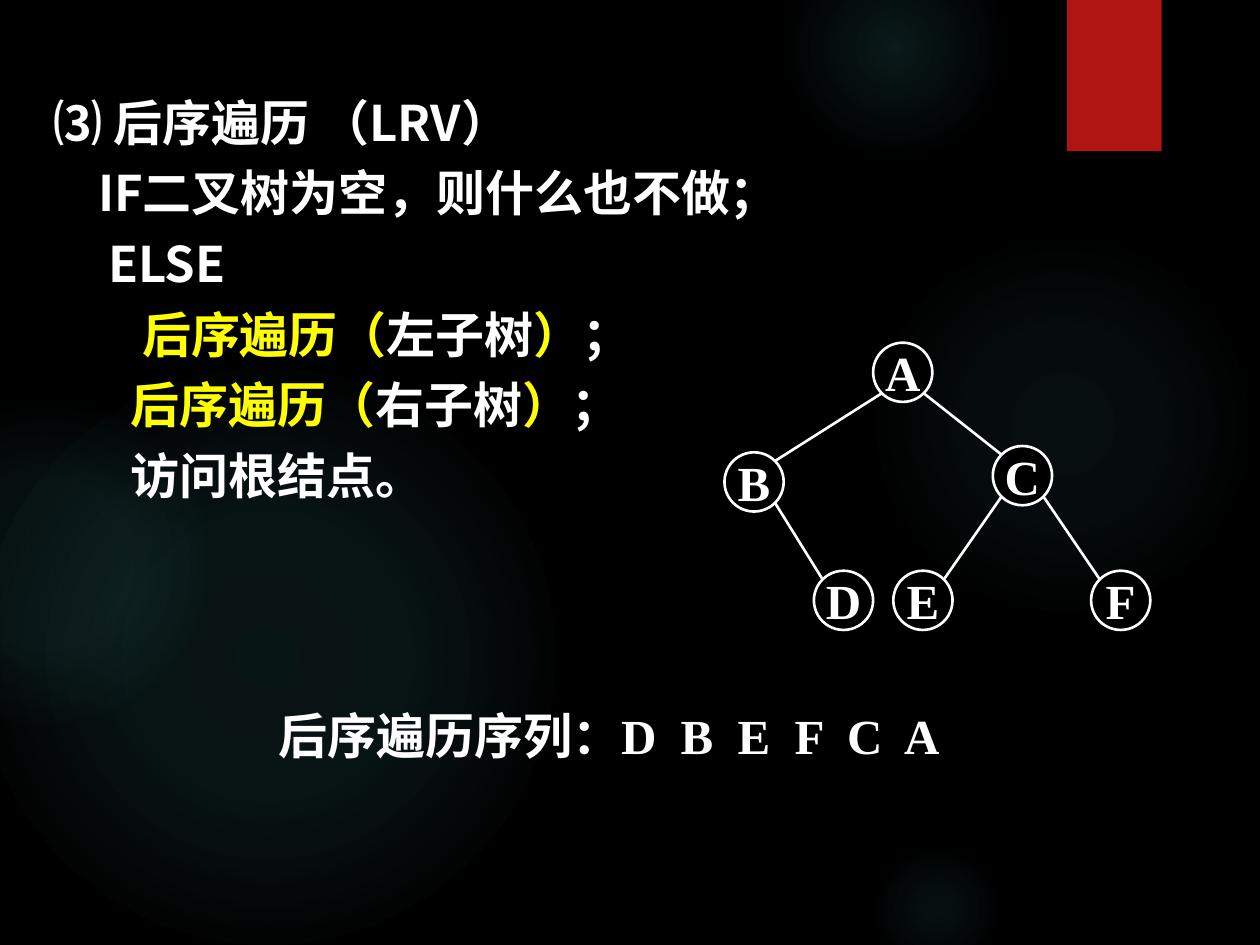
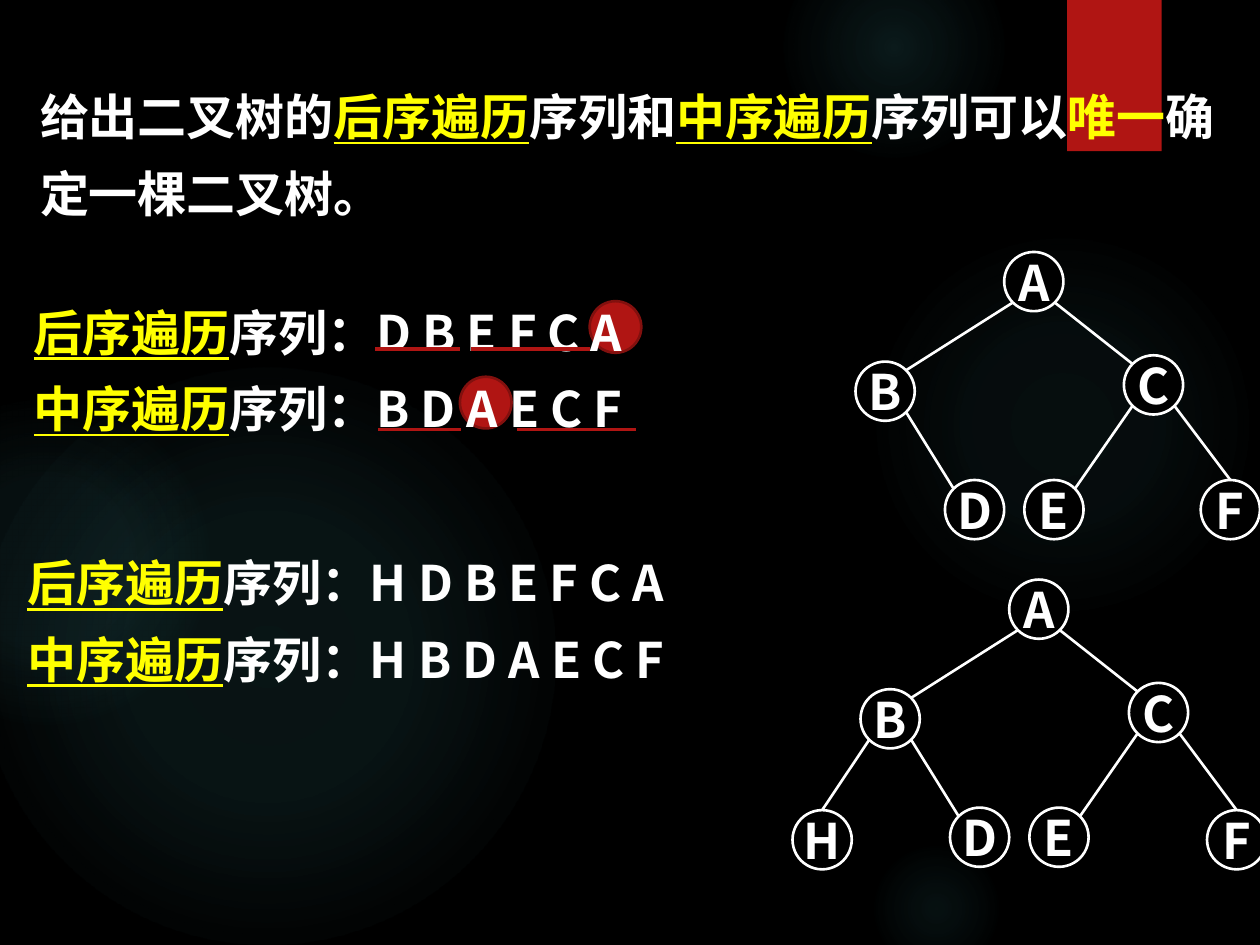
from math import sqrt

from lxml.etree import SubElement
from pptx import Presentation
from pptx.dml.color import RGBColor
from pptx.enum.shapes import MSO_CONNECTOR as Connector, MSO_SHAPE as Shape
from pptx.enum.text import MSO_ANCHOR as Anchor, PP_ALIGN as Align
from pptx.oxml import parse_xml
from pptx.oxml.ns import nsdecls, qn
from pptx.util import Inches, Pt

COLUMNS, ROWS = 100, 75
BLACK, WHITE, YELLOW = "000000", "FFFFFF", "FFFF00"
RED, DARK_RED, TEAL = "B01513", "82100E", "50B9C1"
SANS, SERIF = "Noto Sans CJK SC", "Times New Roman"
PLAIN, CALL, TERM = (WHITE, False), (YELLOW, False), (YELLOW, True)

GLOWS = [
    (68.9, 18.3, 30.8, [(0, 7), (36, 6), (69, 0)]),
    (62.2, -5, 17.5, [(0, 14), (36, 7), (73, 0)]),
    (68.9, 66.7, 10.8, [(0, 9), (36, 5), (66, 0)]),
    (-1.7, 29.2, 45.8, [(0, 11), (36, 10), (75, 0)]),
    (-9.2, 31.7, 25.8, [(0, 8), (36, 8), (72, 0)]),
]
NODE_SIZE = 4.7
TREE_OFFSETS = {"A": (0, 0), "B": (-11.8, 8.7), "C": (9.5, 8.2),
                "D": (-4.7, 18.1), "E": (1.6, 18.1), "F": (17.3, 18.1)}
TREE_EDGES = ["AB", "BD", "AC", "CE", "CF"]


def rgb(hex_color):
    return RGBColor.from_string(hex_color)


class Deck:
    def __init__(self):
        self.presentation = Presentation()
        self.presentation.slide_width = Inches(10)
        self.presentation.slide_height = Inches(7.5)
        self.column = self.presentation.slide_width / COLUMNS
        self.row = self.presentation.slide_height / ROWS
        self.slide = None

    def place(self, x, y):
        return round(x * self.column), round(y * self.row)

    def new_slide(self):
        self.slide = self.presentation.slides.add_slide(self.presentation.slide_layouts[6])
        background = self.slide.background.fill
        background.solid()
        background.fore_color.rgb = rgb(BLACK)
        for left, top, size, stops in GLOWS:
            self.glow(left, top, size, stops)
        self.shape(Shape.RECTANGLE, 84.7, 0, 7.5, 12, RED)

    def shape(self, kind, left, top, width, height, fill, outline=None):
        shape = self.slide.shapes.add_shape(
            kind, *self.place(left, top), *self.place(width, height))
        shape.shadow.inherit = False
        shape.fill.solid()
        shape.fill.fore_color.rgb = rgb(fill)
        if outline:
            shape.line.color.rgb = rgb(outline)
            shape.line.width = Pt(1.5)
        else:
            shape.line.fill.background()
        return shape

    def glow(self, left, top, size, stops):
        circle = self.shape(Shape.OVAL, left, top, size, size, TEAL)
        stop_xml = "".join(
            f'<a:gs pos="{position * 1000}"><a:srgbClr val="{TEAL}">'
            f'<a:alpha val="{alpha * 1000}"/></a:srgbClr></a:gs>'
            for position, alpha in stops)
        gradient = parse_xml(
            f'<a:gradFill {nsdecls("a")} rotWithShape="1"><a:gsLst>{stop_xml}</a:gsLst>'
            '<a:path path="circle"><a:fillToRect l="50000" t="50000" r="50000" b="50000"/>'
            '</a:path></a:gradFill>')
        properties = circle._element.spPr
        properties.replace(properties.find(qn("a:solidFill")), gradient)

    def style(self, paragraph, font_name):
        font = paragraph.font
        font.size, font.bold = Pt(28), True
        font.color.rgb = rgb(WHITE)
        font.name = font_name
        defaults = paragraph._p.pPr.find(qn("a:defRPr"))
        SubElement(defaults, qn("a:ea")).set("typeface", SANS)

    def text(self, left, top, width, height, lines, spacing=1.0, font_name=SANS):
        box = self.slide.shapes.add_textbox(
            *self.place(left, top), *self.place(width, height))
        frame = box.text_frame
        frame.word_wrap = True
        for number, (indent, parts) in enumerate(lines):
            paragraph = frame.add_paragraph() if number else frame.paragraphs[0]
            paragraph.line_spacing = spacing
            paragraph._p.get_or_add_pPr().set("marL", str(round(indent * self.column)))
            self.style(paragraph, font_name)
            for content, (color, underlined) in parts:
                run = paragraph.add_run()
                run.text = content
                run.font.color.rgb = rgb(color)
                run.font.underline = underlined
        return frame

    def node(self, letter, x, y, font_name):
        half = NODE_SIZE / 2
        circle = self.shape(Shape.OVAL, x - half, y - half, NODE_SIZE, NODE_SIZE, BLACK, WHITE)
        frame = circle.text_frame
        frame.word_wrap = False
        frame.vertical_anchor = Anchor.MIDDLE
        paragraph = frame.paragraphs[0]
        paragraph.text = letter
        paragraph.alignment = Align.CENTER
        self.style(paragraph, font_name)

    def line(self, start, end, color=WHITE, width=1.5):
        connector = self.slide.shapes.add_connector(
            Connector.STRAIGHT, *self.place(*start), *self.place(*end))
        connector.line.color.rgb = rgb(color)
        connector.line.width = Pt(width)
        SubElement(connector._element.spPr, qn("a:effectLst"))

    def tree(self, root_x, root_y, font_name=SANS, moved=None, extra_edges=(), top_joined=""):
        offsets = {**TREE_OFFSETS, **(moved or {})}
        centers = {letter: (root_x + dx, root_y + dy) for letter, (dx, dy) in offsets.items()}
        for letter, (x, y) in centers.items():
            self.node(letter, x, y, font_name)
        radius = NODE_SIZE / 2
        diagonal = radius / sqrt(2)
        for parent, child in [*TREE_EDGES, *extra_edges]:
            (px, py), (cx, cy) = centers[parent], centers[child]
            side = diagonal if cx > px else -diagonal
            end = (cx, cy - radius) if child in top_joined else (cx - side, cy - diagonal)
            self.line((px + side, py + diagonal), end)

    def traversals(self, left, top, postorder, inorder):
        self.text(left, top, 66.7, 13.3, [
            (0, [("后序遍历", TERM), (f"序列：{postorder}", PLAIN)]),
            (0, [("中序遍历", TERM), (f"序列：{inorder}", PLAIN)]),
        ], 1.3)


def postorder_slide(deck):
    deck.new_slide()
    deck.text(3.3, 5.9, 66.7, 34.7, [
        (0, [("⑶ 后序遍历 （LRV）", PLAIN)]),
        (3.5, [("IF二叉树为空，则什么也不做；", PLAIN)]),
        (4.3, [("ELSE", PLAIN)]),
        (7, [("后序遍历（", CALL), ("左子树", PLAIN), ("）", CALL), ("；", PLAIN)]),
        (6.1, [("后序遍历（", CALL), ("右子树", PLAIN), ("）", CALL), ("；", PLAIN)]),
        (6.1, [("访问根结点。", PLAIN)]),
    ], 1.2)
    deck.tree(71.65, 29.55, SERIF)
    result = deck.text(15, 55, 66.7, 6.7, [
        (0, [("后序遍历序列：", PLAIN), ("D B E F C A", PLAIN)]),
    ], font_name=SERIF)
    result.vertical_anchor = Anchor.MIDDLE
    paragraph = result.paragraphs[0]
    paragraph.alignment = Align.CENTER
    paragraph.runs[1]._r.get_or_add_rPr().set("spc", "350")


def reconstruction_slide(deck):
    deck.new_slide()
    for left, top in [(46.8, 23.9), (36.5, 29.9)]:
        deck.shape(Shape.OVAL, left, top, 4.1, 4.1, RED, DARK_RED)
    deck.text(2.2, 5, 97, 13.3, [
        (0, [("给出二叉树的", PLAIN), ("后序遍历", TERM), ("序列和", PLAIN),
             ("中序遍历", TERM), ("序列可以", PLAIN), ("唯一", CALL), ("确", PLAIN)]),
        (0, [("定一棵二叉树。", PLAIN)]),
    ], 1.3)
    deck.tree(82.05, 22.35, moved={"F": (15.6, 18.1)}, top_joined="F")
    deck.traversals(1.7, 22.1, "D B E F C A", "B D A E C F")
    deck.traversals(1.2, 42, "H D B E F C A", "H B D A E C F")
    deck.tree(82.45, 48.35, moved={"F": (15.7, 18.3), "H": (-17.2, 18.3)},
              extra_edges=["BH"], top_joined="FH")
    for y, start, end in [(34.1, 30, 36.6), (34.1, 41, 50.5),
                          (27.7, 29.8, 36.5), (27.7, 37.4, 46.8)]:
        deck.line((start, y), (end, y), RED, 2)


def main():
    deck = Deck()
    postorder_slide(deck)
    reconstruction_slide(deck)
    deck.presentation.save("out.pptx")


if __name__ == "__main__":
    main()
